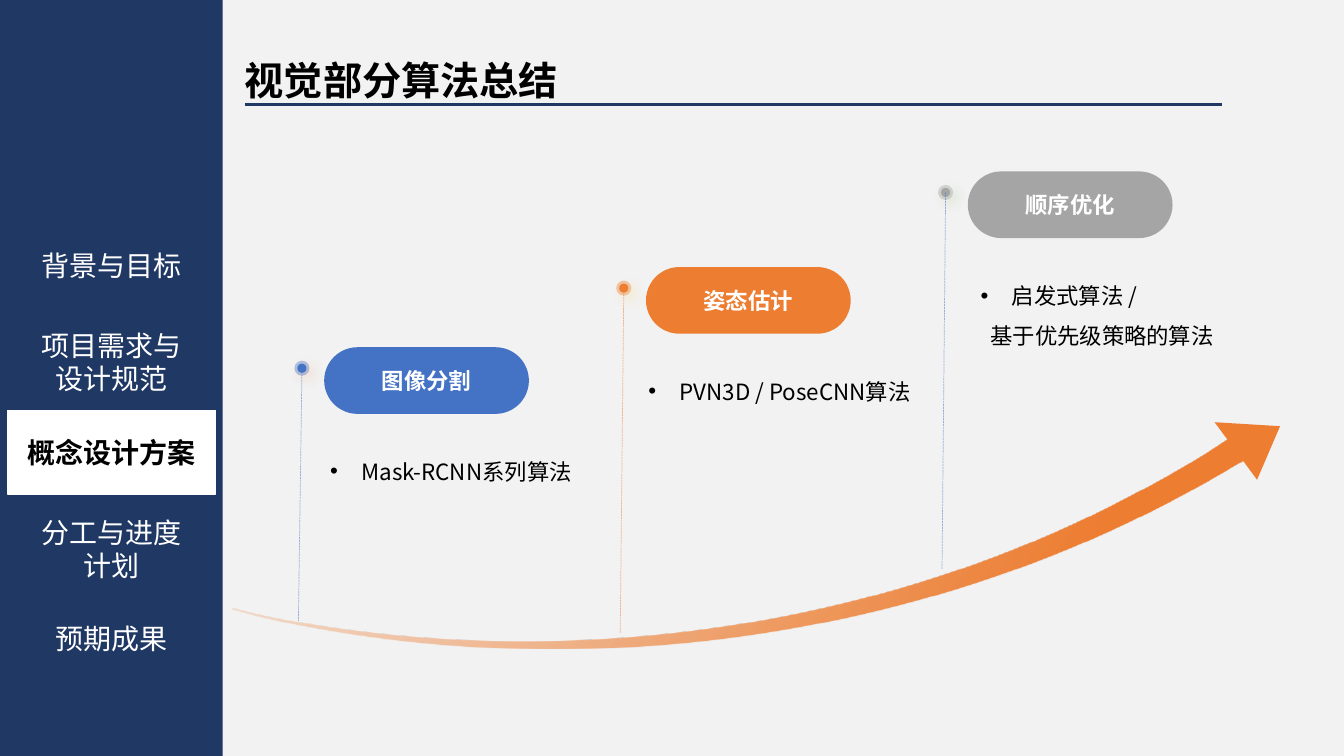
from math import cos, radians, sin
from pptx import Presentation
from pptx.dml.color import RGBColor
from pptx.enum.dml import MSO_LINE
from pptx.enum.shapes import MSO_CONNECTOR as CONN, MSO_SHAPE as SHAPE
from pptx.enum.text import MSO_ANCHOR as ANCHOR, MSO_AUTO_SIZE as AUTO, PP_ALIGN as ALIGN
from pptx.oxml.ns import qn
from pptx.util import Cm, Pt
from lxml.etree import SubElement

NAVY = RGBColor(0x20, 0x38, 0x64)
BLUE = RGBColor(0x44, 0x72, 0xC4)
ORANGE = RGBColor(0xED, 0x7D, 0x31)
GREY = RGBColor(0xA5, 0xA5, 0xA5)
GOLD = RGBColor(0xFF, 0xC0, 0x00)
GREEN = RGBColor(0x70, 0xAD, 0x47)
PAPER = RGBColor(0xF2, 0xF2, 0xF2)
WHITE = RGBColor(0xFF, 0xFF, 0xFF)
BLACK = RGBColor(0, 0, 0)
CJK = "Noto Sans CJK SC"


def set_alpha(color_el, percent):
    SubElement(color_el, qn("a:alpha"), val=str(percent * 1000))


def format_text(tf, size, color, bold=False, font=CJK):
    for p in tf.paragraphs:
        p.space_before = Pt(0)
        for r in p.runs:
            r.font.size, r.font.bold, r.font.name = Pt(size), bold, font
            r.font.color.rgb = color
            SubElement(r.font._element, qn("a:ea"), typeface=CJK)


def set_frame(tf, inset=0.25, anchor=ANCHOR.TOP):
    tf.word_wrap = True
    tf.auto_size = AUTO.NONE
    tf.vertical_anchor = anchor
    tf.margin_left = tf.margin_right = Cm(inset)
    tf.margin_top = tf.margin_bottom = Cm(inset if inset > 0.25 else 0.13)


def place(s, x, y, w, h):
    s.left, s.top, s.width, s.height = Cm(x), Cm(y), Cm(w), Cm(h)


def add_solid(shapes, kind, x, y, w, h, color):
    s = shapes.add_shape(kind, Cm(x), Cm(y), Cm(w), Cm(h))
    s.shadow.inherit = False
    s.fill.solid()
    s.fill.fore_color.rgb = color
    s.line.fill.background()
    return s


def add_line(shapes, x1, y1, x2, y2, color, width):
    line = shapes.add_connector(CONN.STRAIGHT, Cm(x1), Cm(y1), Cm(x2), Cm(y2))
    line.line.color.rgb = color
    line.line.width = Pt(width)
    SubElement(line._element.spPr, qn("a:effectLst"))
    return line


def add_sidebar(shapes, x, y, w, h):
    add_solid(shapes, SHAPE.RECTANGLE, x, y, w, h, NAVY)
    mark = add_solid(shapes, SHAPE.RECTANGLE, x + 0.19, y + 10.34, w - 0.36, 2.11, WHITE)
    mark.line.color.rgb = WHITE
    mark.line.width = Pt(1)
    items = [
        ("背景与目标", 6.12, 4.7),
        ("项目需求与\n设计规范", 8.14, 4.7),
        ("概念设计方案", 10.85, 5.13),
        ("分工与进度计划", 12.85, 4.67),
        ("预期成果", 15.52, 5.13),
    ]
    for i, (label, top, width) in enumerate(items):
        current = i == 2
        s = shapes.add_textbox(Cm(x + (w - width) / 2), Cm(y + top), Cm(width), Cm(1.96))
        set_frame(s.text_frame)
        s.text_frame.text = label
        for p in s.text_frame.paragraphs:
            p.alignment = ALIGN.CENTER
        format_text(s.text_frame, 20, BLACK if current else WHITE, current)


def add_title(shapes, x, y, w, h):
    title = shapes.title
    place(title, x, y, 11.79, h)
    tf = title.text_frame
    set_frame(tf)
    tf.text = "视觉部分算法总结"
    tf.paragraphs[0].alignment = ALIGN.LEFT
    tf.paragraphs[0].line_spacing = 2.0
    format_text(tf, 28, BLACK, True)
    add_line(shapes, x + 0.25, y + 2.54, x + w, y + 2.54, NAVY, 2.25)


def add_outline(shapes, x, y, points):
    emu = [(Cm(x + px), Cm(y + py)) for px, py in points]
    builder = shapes.build_freeform(*emu[0])
    builder.add_line_segments(emu[1:], close=True)
    s = builder.convert_to_shape()
    s.shadow.inherit = False
    s.line.fill.background()
    return s


def draw_curves(s, edges, w, h):
    outline = next(s._element.spPr.iter(qn("a:path")))
    for part in list(outline):
        outline.remove(part)
    outline.set("w", str(Cm(w)))
    outline.set("h", str(Cm(h)))

    def add_part(tag, points):
        part = SubElement(outline, qn(tag))
        for px, py in points:
            SubElement(part, qn("a:pt"), x=str(Cm(px)), y=str(Cm(py)))

    for n, edge in enumerate(edges):
        add_part("a:lnTo" if n else "a:moveTo", edge[:1])
        for i in range(1, len(edge), 3):
            add_part("a:cubicBezTo", edge[i:i + 3])
    SubElement(outline, qn("a:close"))


def add_arrow(shapes, x, y):
    lower = [(0, 4.65), (0.56, 4.8), (1.12, 4.92), (1.68, 5.01),
             (9.04, 6.27), (16.59, 4.97), (22.48, 1.91),
             (23.39, 1.45), (24.28, 0.95), (25.12, 0.38)]
    upper = [(25.6, 0.88), (24.71, 1.41), (23.8, 1.92), (22.86, 2.37),
             (16.76, 5.34), (9.09, 6.51), (1.68, 5.09),
             (1.12, 4.98), (0.53, 4.85), (0, 4.69)]
    left, top, w, h, tilt = 0.66, -2.03, 24.31, 9.32, 11.6
    mid_x, mid_y = left + w / 2, top + h / 2
    c, d = cos(radians(tilt)), sin(radians(tilt))
    edges = [[(w / 2 + (px - mid_x) * c + (py - mid_y) * d,
               h / 2 - (px - mid_x) * d + (py - mid_y) * c) for px, py in edge]
             for edge in (lower, upper)]
    tail = add_outline(shapes, x, y, lower[::3] + upper[::3])
    place(tail, x + left, y + top, w, h)
    tail.rotation = tilt
    draw_curves(tail, edges, w, h)
    tail.fill.gradient()
    tail.fill.gradient_angle = 340
    for stop, position in zip(tail.fill.gradient_stops, (0, 0.77)):
        stop.color.rgb = ORANGE
        stop.position = position
    set_alpha(next(tail._element.spPr.iter(qn("a:srgbClr"))), 0)
    head = add_outline(shapes, x, y, [(24.74, 0), (25.81, 1.45), (26.39, 0.1)])
    head.fill.solid()
    head.fill.fore_color.rgb = ORANGE


def add_dot(shapes, x, y, color, glow):
    halo, core = (add_solid(shapes, SHAPE.OVAL, x - d / 2, y - d / 2, d, d, color)
                  for d in (0.38, 0.23))
    set_alpha(next(halo._element.spPr.iter(qn("a:srgbClr"))), 40)
    effects = core._element.spPr.find(qn("a:effectLst"))
    shadow = SubElement(effects, qn("a:outerShdw"), blurRad=str(Pt(10)), dist=str(Pt(5)),
                        dir="2700000", algn="tl", rotWithShape="0")
    set_alpha(SubElement(shadow, qn("a:srgbClr"), val=str(glow)), 40)


def add_step(shapes, body, x, y, label, lines, color, glow, stem_color, stem_bottom, body_dx, body_w):
    pill = add_solid(shapes, SHAPE.ROUNDED_RECTANGLE, x, y, 5.16, 1.68, color)
    pill.adjustments[0] = 0.5
    set_frame(pill.text_frame, anchor=ANCHOR.MIDDLE)
    pill.text_frame.text = label
    pill.text_frame.paragraphs[0].alignment = ALIGN.CENTER
    format_text(pill.text_frame, 16, WHITE, True, "Arial")

    place(body, x + body_dx, y + 2.15, body_w, 0.5 + len(lines))
    tf = body.text_frame
    set_frame(tf, 0.3)
    tf.text = "\n".join(lines)
    for i, p in enumerate(tf.paragraphs):
        p.line_spacing = 1.5
        p.alignment = ALIGN.LEFT
        pPr = p._p.get_or_add_pPr()
        pPr.set("marL", str(Cm(0.25 if i else 0.79)))
        pPr.set("indent", str(Cm(0 if i else -0.79)))
        if i:
            SubElement(pPr, qn("a:buNone"))
        else:
            SubElement(pPr, qn("a:buFont"), typeface="Arial")
            SubElement(pPr, qn("a:buChar"), char="•")
    format_text(tf, 16, BLACK)

    dot_x, dot_y = x - 0.56, y + 0.53
    add_dot(shapes, dot_x, dot_y, color, glow)
    stem = add_line(shapes, dot_x, dot_y, dot_x - 0.09, stem_bottom, stem_color, 0.5)
    stem.line.dash_style = MSO_LINE.SQUARE_DOT
    set_alpha(next(stem._element.spPr.iter(qn("a:srgbClr"))), 50)


def main():
    prs = Presentation()
    prs.slide_width, prs.slide_height = Cm(33.87), Cm(19.05)
    slide = prs.slides.add_slide(prs.slide_layouts[4])
    slide.background.fill.solid()
    slide.background.fill.fore_color.rgb = PAPER
    shapes = slide.shapes
    *bodies, spare = list(slide.placeholders)[1:]
    spare._element.getparent().remove(spare._element)

    add_sidebar(shapes, 0, 0, 5.61, 19.05)
    add_title(shapes, 5.92, 0.1, 24.88, 2.29)
    add_arrow(shapes, 5.87, 10.64)
    steps = [
        (8.75, "图像分割", ["Mask-RCNN系列算法"], BLUE, ORANGE, BLUE, 15.65, -0.15, 7.06),
        (6.73, "姿态估计", ["PVN3D / PoseCNN算法"], ORANGE, GOLD, ORANGE, 15.95, -0.24, 7.7),
        (4.32, "顺序优化", ["启发式算法 /", "基于优先级策略的算法"], GREY, GREEN, BLUE, 14.35, 0.02, 7.01),
    ]
    for i, (body, step) in enumerate(zip(bodies, steps)):
        add_step(shapes, body, 8.17 + 8.11 * i, *step)
    prs.save("out.pptx")


if __name__ == "__main__":
    main()
